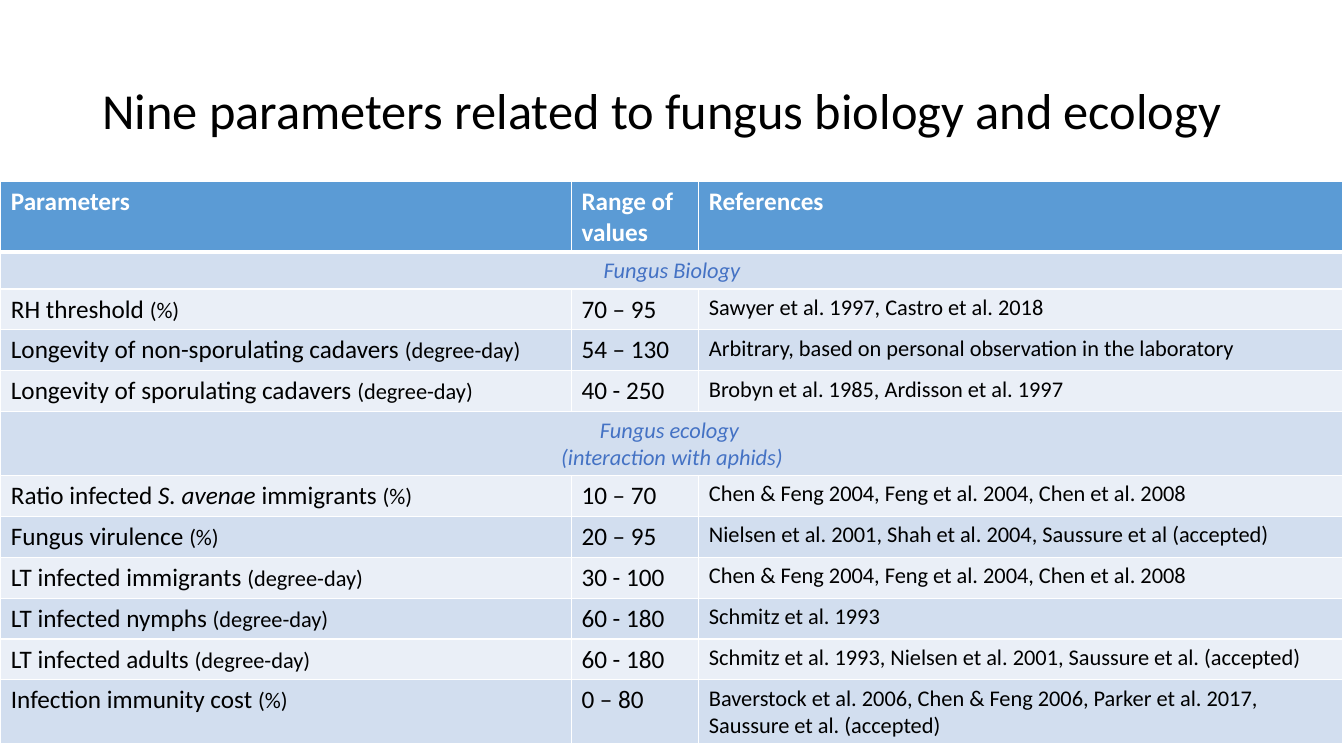
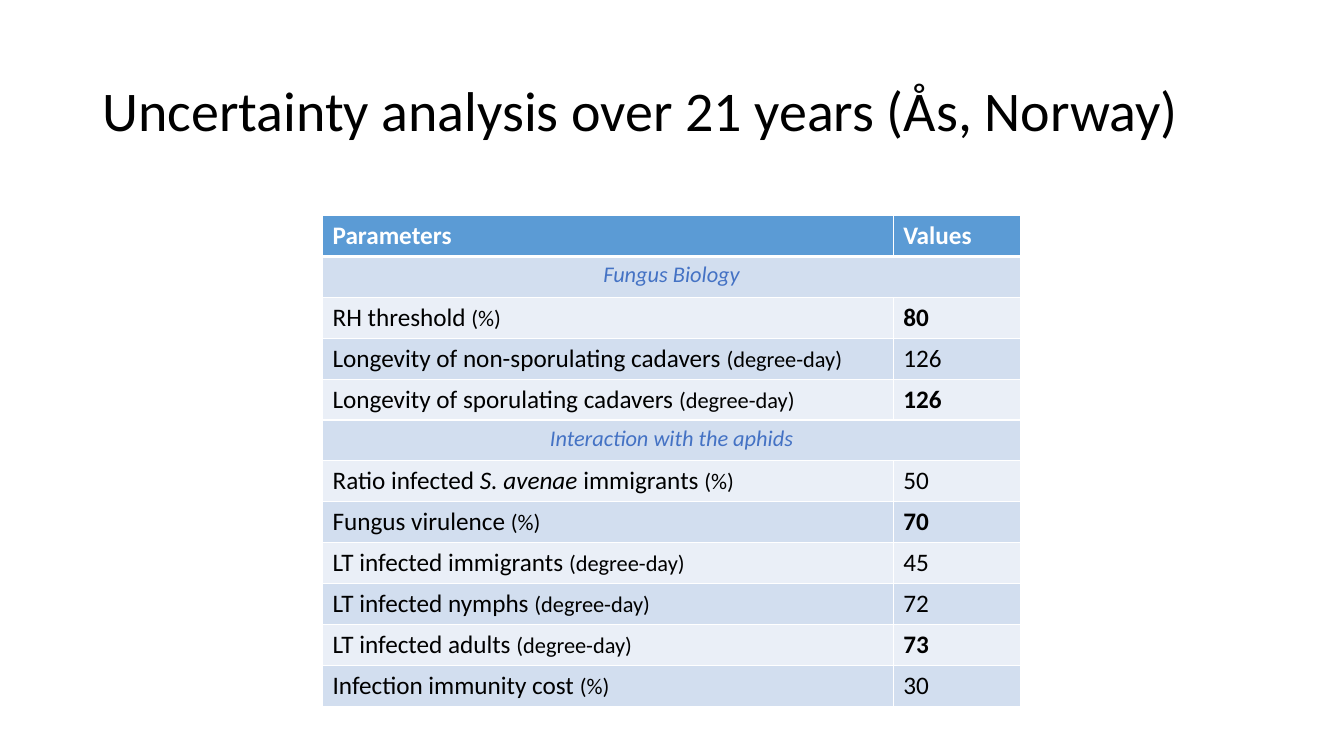
from dataclasses import dataclass

from lxml.etree import SubElement
from pptx import Presentation
from pptx.dml.color import RGBColor
from pptx.enum.text import MSO_ANCHOR, PP_ALIGN
from pptx.oxml.ns import qn
from pptx.util import Pt


@dataclass(frozen=True)
class Theme:
    font: str = "Calibri"
    black: str = "000000"
    white: str = "FFFFFF"
    header: str = "5B9BD5"
    section: str = "4472C4"
    bands: tuple = ("EAEFF7", "D2DEEF")  # even rows, odd rows
    body: int = 18
    small: int = 16
    thin: int = 1
    thick: int = 3


THEME = Theme()

# Content: name (italics between asterisks), unit, range, value, is bold, references
BIOLOGY = [
    ("RH threshold ", "(%)", "70 – 95", "80", True,
     "Sawyer et al. 1997, Castro et al. 2018"),
    ("Longevity of non-sporulating cadavers ", "(degree-day)", "54 – 130", "126", False,
     "Arbitrary, based on personal observation in the laboratory"),
    ("Longevity of sporulating cadavers ", "(degree-day)", "40 - 250", "126", True,
     "Brobyn et al. 1985, Ardisson et al. 1997"),
]
ECOLOGY = [
    ("Ratio infected *S. avenae *immigrants ", "(%)", "10 – 70", "50", False,
     "Chen & Feng 2004, Feng et al. 2004, Chen et al. 2008"),
    ("Fungus virulence ", "(%)", "20 – 95", "70", True,
     "Nielsen et al. 2001, Shah et al. 2004, Saussure et al (accepted)"),
    ("LT infected immigrants ", "(degree-day)", "30 - 100", "45", False,
     "Chen & Feng 2004, Feng et al. 2004, Chen et al. 2008"),
    ("LT infected nymphs ", "(degree-day)", "60 - 180", "72", False,
     "Schmitz et al. 1993"),
    ("LT infected adults ", "(degree-day)", "60 - 180", "73", True,
     "Schmitz et al. 1993, Nielsen et al. 2001, Saussure et al. (accepted)"),
    ("Infection immunity cost ", "(%)", "0 – 80", "30", False,
     "Baverstock et al. 2006, Chen & Feng 2006, Parker et al. 2017, "
     "Saussure et al. (accepted)"),
]

# Row heights that differ from the usual one are given by row number
ROW_HEIGHT = 29.2
PAGES = [
    dict(title="Nine parameters related to fungus biology and ecology", title_size=36,
         left=0.6, top=129.6, widths=(407.6, 91, 460.2), heights={1: 18, 5: 24.5},
         headings=("Parameters", "Range of values", "References"),
         sections=(["Fungus Biology"], ["Fungus ecology ", "(interaction with aphids)"]),
         shows_ranges=True),
    dict(title="Uncertainty analysis over 21 years (Ås, Norway)", title_size=40,
         left=230.4, top=154, widths=(407.6, 91), heights={},
         headings=("Parameters", "Values"),
         sections=(["Fungus Biology"], ["Interaction with the aphids"]),
         shows_ranges=False),
]


def style(para, size, color=THEME.black, bold=False, italic=False):
    para.font.name = THEME.font
    para.font.size = Pt(size)
    para.font.color.rgb = RGBColor.from_string(color)
    para.font.bold = bold
    para.font.italic = italic


def add_title(page, text, size):
    box = page.shapes.add_textbox(Pt(66), Pt(28.8), Pt(828), Pt(104.4))
    box.text_frame.word_wrap = True
    box.text_frame.vertical_anchor = MSO_ANCHOR.MIDDLE
    para = box.text_frame.paragraphs[0]
    para.text = text
    para.line_spacing = 0.9
    style(para, size)


def paint(cell, color, top, bottom):
    """Fill a cell and rule its four sides in white."""
    properties = cell._tc.get_or_add_tcPr()
    for side, width in (("L", THEME.thin), ("R", THEME.thin), ("T", top), ("B", bottom)):
        line = SubElement(properties, qn("a:ln" + side), w=str(Pt(width)))
        fill = SubElement(line, qn("a:solidFill"))
        SubElement(fill, qn("a:srgbClr"), val=THEME.white)
    cell.fill.solid()
    cell.fill.fore_color.rgb = RGBColor.from_string(color)


def write(cell, text, size=THEME.body, **look):
    para = cell.text_frame.paragraphs[0]
    para.text = text
    style(para, size, **look)


def write_name(cell, name, unit):
    para = cell.text_frame.paragraphs[0]
    style(para, THEME.body)
    for index, part in enumerate(name.split("*")):
        span = para.add_run()
        span.text = part
        if index % 2:
            span.font.italic = True
    span = para.add_run()
    span.text = unit
    span.font.size = Pt(THEME.small)


def write_section(cells, lines):
    cells[0].merge(cells[-1])
    frame = cells[0].text_frame
    for index, text in enumerate(lines):
        para = frame.add_paragraph() if index else frame.paragraphs[0]
        para.text = text
        para.alignment = PP_ALIGN.CENTER
        style(para, THEME.small, THEME.section, italic=True)


def write_parameter(cells, parameter, shows_ranges):
    name, unit, limits, value, is_bold, references = parameter
    write_name(cells[0], name, unit)
    if shows_ranges:
        write(cells[1], limits)
        write(cells[2], references, THEME.small)
    else:
        write(cells[1], value, bold=is_bold)


def add_parameter_table(page, content):
    widths = content["widths"]
    row_count = 1 + sum(1 + len(group) for group in (BIOLOGY, ECOLOGY))
    heights = [content["heights"].get(row, ROW_HEIGHT) for row in range(row_count)]
    table = page.shapes.add_table(
        row_count, len(widths), Pt(content["left"]), Pt(content["top"]),
        Pt(sum(widths)), Pt(sum(heights))).table
    for column, width in zip(table.columns, widths):
        column.width = Pt(width)

    # Fills and rules, with a thick rule under the header
    rows = []
    for index, (row, height) in enumerate(zip(table.rows, heights)):
        row.height = Pt(height)
        cells = list(row.cells)
        rows.append(cells)
        for cell in cells:
            paint(cell, THEME.bands[index % 2] if index else THEME.header,
                  top=THEME.thick if index == 1 else THEME.thin,
                  bottom=THEME.thin if index else THEME.thick)

    # Text, row after row
    remaining = iter(rows)
    for cell, heading in zip(next(remaining), content["headings"]):
        write(cell, heading, color=THEME.white, bold=True)
    for lines, group in zip(content["sections"], (BIOLOGY, ECOLOGY)):
        write_section(next(remaining), lines)
        for parameter in group:
            write_parameter(next(remaining), parameter, content["shows_ranges"])


def main():
    deck = Presentation()
    deck.slide_width, deck.slide_height = Pt(960), Pt(540)
    for content in PAGES:
        page = deck.slides.add_slide(deck.slide_layouts[6])
        add_title(page, content["title"], content["title_size"])
        add_parameter_table(page, content)
    deck.save("out.pptx")


if __name__ == "__main__":
    main()
